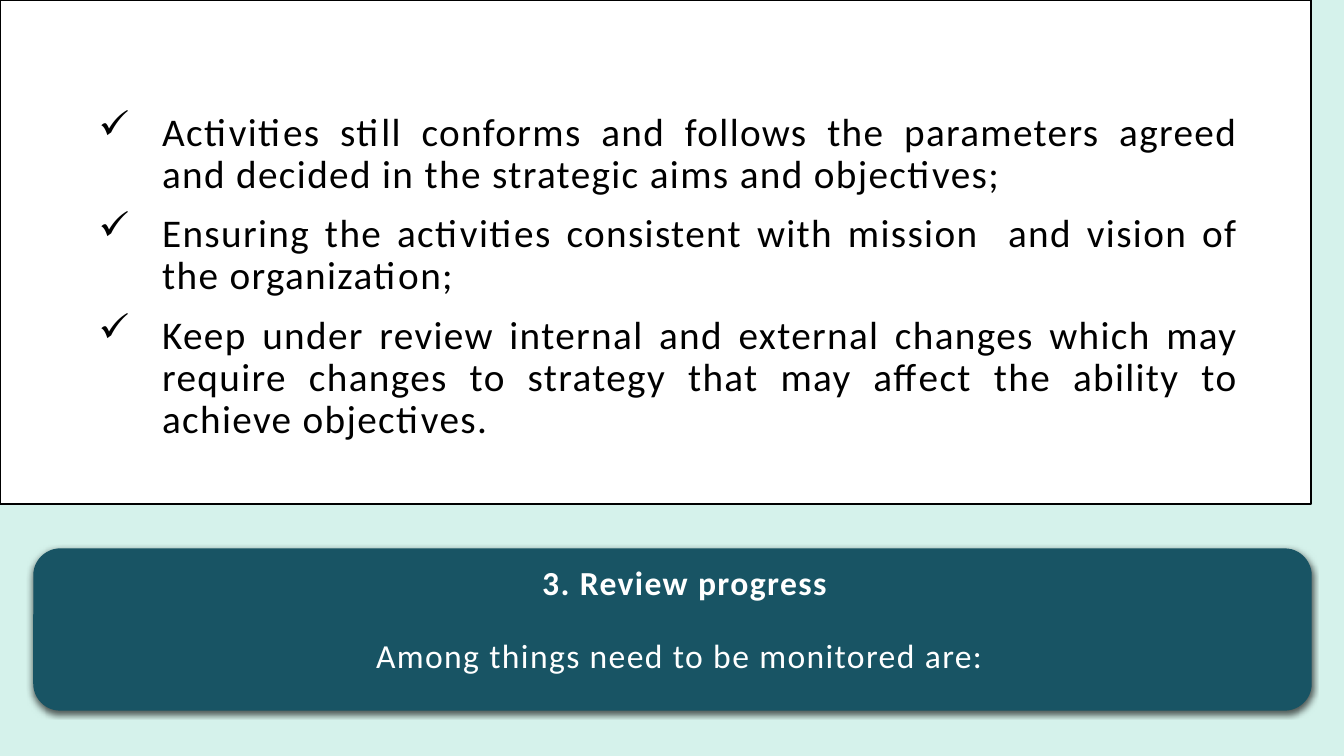
from dataclasses import dataclass

import pptx
import pptx.dml.color
import pptx.enum.shapes
import pptx.enum.text
import pptx.oxml
import pptx.oxml.ns
import pptx.util
from pptx.util import Inches, Pt

RGBColor = pptx.dml.color.RGBColor
Align = pptx.enum.text.PP_ALIGN

MINT = RGBColor(0xD5, 0xF2, 0xEB)
TEAL = RGBColor(0x18, 0x54, 0x64)
WHITE = RGBColor(0xFF, 0xFF, 0xFF)
BLACK = RGBColor(0x00, 0x00, 0x00)

CURVE_STEPS = 8
Point = tuple[float, float]

# Each segment holds one end point (a line) or two controls and an end point (a curve).
PANEL_START: Point = (1.26, 0.35)
PANEL_SEGMENTS: list[list[Point]] = [
    [(1.55, 0.35), (1.91, 0.35), (2.23, 0.35)],
    [(11.32, 0.38)],
    [(12.94, 0.40)],
    [(12.98, 2.00), (12.89, 3.55), (12.87, 5.12)],
    [(12.55, 5.15)],
    [(2.43, 5.13)],
    [(1.61, 5.11), (1.03, 5.13), (0.47, 5.11)],
    [(0.47, 3.61), (0.44, 2.08), (0.50, 0.37)],
    [(0.49, 0.31), (0.58, 0.36), (0.85, 0.35)],
    [(0.95, 0.35), (1.09, 0.35), (1.26, 0.35)],
]


@dataclass
class TextLine:
    text: str
    size: float
    color: RGBColor
    alignment: Align
    left_margin: float
    hanging: float = 0
    space_before: float = 0
    space_after: float = 0
    bold: bool = False
    bullet: str = ""


@dataclass
class TextBlock:
    left: float
    top: float
    width: float
    height: float
    lines: list[TextLine]


REVIEW_POINTS = [
    "Activities still conforms and follows the parameters agreed and decided "
    "in the strategic aims and objectives;",
    "Ensuring the activities consistent with mission  and vision of the organization;",
    "Keep under review internal and external changes which may require changes "
    "to strategy that may affect the ability to achieve objectives.",
]

TEXT_BLOCKS = [
    TextBlock(0.73, 0.67, 11.66, 4.16, [
        TextLine(point, 28, BLACK, Align.JUSTIFY, 0.78, hanging=0.63,
                 space_after=12, bullet="✓")
        for point in REVIEW_POINTS
    ]),
    TextBlock(0.88, 5.43, 11.66, 1.46, [
        TextLine("3. Review progress", 24, WHITE, Align.CENTER, 0.16, bold=True),
        TextLine("Among things need to be monitored are:", 24, WHITE, Align.CENTER,
                 0.06, space_before=26.35),
    ]),
]


def curve_points(start: Point, controls: list[Point]) -> list[Point]:
    """Sample a cubic Bezier curve, leaving out its start point."""
    points = []
    for step in range(1, CURVE_STEPS + 1):
        t = step / CURVE_STEPS
        weights = ((1 - t) ** 3, 3 * t * (1 - t) ** 2, 3 * t * t * (1 - t), t ** 3)
        points.append(tuple(
            sum(weight * point[axis] for weight, point in zip(weights, [start, *controls]))
            for axis in (0, 1)
        ))
    return points


def add_paper_panel(slide) -> None:
    outline = [PANEL_START]
    for segment in PANEL_SEGMENTS:
        outline += segment if len(segment) == 1 else curve_points(outline[-1], segment)
    builder = slide.shapes.build_freeform(*outline[0], scale=float(Inches(1)))
    builder.add_line_segments(outline[1:], close=True)
    shape = builder.convert_to_shape()
    shape.shadow.inherit = False
    shape.fill.solid()
    shape.fill.fore_color.rgb = WHITE
    shape.line.color.rgb = BLACK
    shape.line.width = Pt(1.5)


def add_title_banner(slide) -> None:
    shape = slide.shapes.add_shape(
        pptx.enum.shapes.MSO_SHAPE.ROUNDED_RECTANGLE,
        Inches(0.33), Inches(5.44), Inches(12.68), Inches(1.61))
    shape.fill.solid()
    shape.fill.fore_color.rgb = TEAL
    shape.line.fill.background()
    shape.shadow.inherit = False
    effects = shape._element.spPr.find(pptx.oxml.ns.qn("a:effectLst"))
    effects.append(pptx.oxml.parse_xml(
        f'<a:outerShdw {pptx.oxml.ns.nsdecls("a")} blurRad="{Pt(4.5)}" dist="{Pt(1.5)}" '
        f'dir="5400000" algn="ctr" rotWithShape="0"><a:srgbClr val="{BLACK}">'
        '<a:alpha val="63000"/></a:srgbClr></a:outerShdw>'))


def write_line(paragraph, line: TextLine) -> None:
    paragraph_format = {
        "alignment": line.alignment,
        "line_spacing": 0.9,
        "space_before": Pt(line.space_before),
        "space_after": Pt(line.space_after),
    }
    for name, value in paragraph_format.items():
        setattr(paragraph, name, value)
    properties = paragraph._p.get_or_add_pPr()
    properties.set("marL", str(Inches(line.left_margin)))
    properties.set("indent", str(Inches(-line.hanging)))
    if line.bullet:
        properties.append(pptx.oxml.parse_xml(
            f'<a:buChar {pptx.oxml.ns.nsdecls("a")} char="{line.bullet}"/>'))

    run = paragraph.add_run()
    run.text = line.text
    font_format = {"name": "Calibri", "size": Pt(line.size), "bold": line.bold}
    for name, value in font_format.items():
        setattr(run.font, name, value)
    run.font.color.rgb = line.color
    run._r.get_or_add_rPr().set("spc", "100")


def add_text_block(slide, block: TextBlock) -> None:
    shape = slide.shapes.add_textbox(
        Inches(block.left), Inches(block.top), Inches(block.width), Inches(block.height))
    frame = shape.text_frame
    frame.word_wrap = True
    frame.vertical_anchor = pptx.enum.text.MSO_ANCHOR.MIDDLE
    for index, line in enumerate(block.lines):
        write_line(frame.add_paragraph() if index else frame.paragraphs[0], line)


def main() -> None:
    presentation = pptx.Presentation()
    presentation.slide_width = Inches(13.33)
    presentation.slide_height = Inches(7.5)
    slide = presentation.slides.add_slide(presentation.slide_layouts[6])
    slide.background.fill.solid()
    slide.background.fill.fore_color.rgb = MINT
    add_paper_panel(slide)
    add_title_banner(slide)
    for block in TEXT_BLOCKS:
        add_text_block(slide, block)
    presentation.save("out.pptx")


if __name__ == "__main__":
    main()
